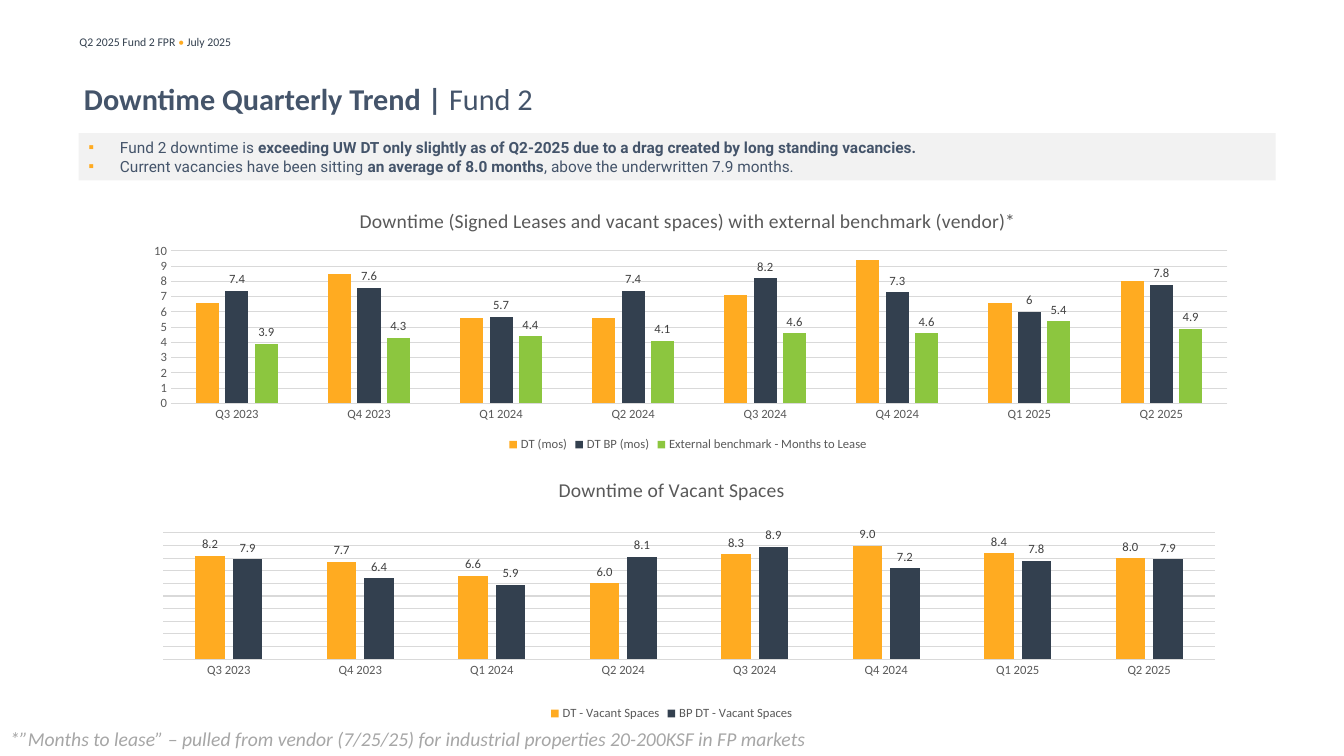
from lxml.etree import SubElement
from pptx import Presentation
from pptx.chart.data import CategoryChartData
from pptx.dml.color import RGBColor
from pptx.enum.chart import XL_CHART_TYPE, XL_LABEL_POSITION, XL_LEGEND_POSITION, XL_TICK_MARK
from pptx.enum.text import MSO_ANCHOR, MSO_AUTO_SIZE
from pptx.oxml.ns import qn
from pptx.util import Inches, Pt

HUES = {"gold": "FFAB21", "navy": "33404F", "green": "8CC63F", "slate": "44546A",
        "pale": "F2F2F2", "rule": "D9D9D9", "axis": "595959", "label": "404040",
        "note": "A6A6A6"}
COLS, ROWS = 160, 90
TERMS = [f"Q{n % 4 + 1} {2023 + n // 4}" for n in range(2, 10)]


class Deck:
    """Hold the style and the current slide, placed on a 160 by 90 grid."""

    def __init__(self):
        self.show = Presentation()
        self.show.slide_width, self.show.slide_height = Inches(13.33), Inches(7.5)
        self.slide = self.show.slides.add_slide(self.show.slide_layouts[1])

    def hue(self, name):
        return RGBColor.from_string(HUES[name])

    def box(self, x, y, w, h):
        wide, high = self.show.slide_width / COLS, self.show.slide_height / ROWS
        return [round(v) for v in (x * wide, y * high, w * wide, h * high)]

    def place(self, shape, *cell):
        shape.left, shape.top, shape.width, shape.height = self.box(*cell)

    def style(self, font, size, hue, face="Calibri"):
        font.name, font.size, font.color.rgb = face, Pt(size), self.hue(hue)

    def runs(self, para, parts):
        for text, bold, hue in parts:
            run = para.add_run()
            run.text = text
            if bold:
                run.font.bold = True
            if hue:
                run.font.color.rgb = self.hue(hue)

    def text(self, parts, size, hue, *cell, slant=False):
        frame = self.slide.shapes.add_textbox(*self.box(*cell)).text_frame
        frame.word_wrap = True
        para = frame.paragraphs[0]
        self.style(para.font, size, hue)
        para.font.italic = slant
        self.runs(para, parts)

    def title(self, parts, *cell):
        shape = self.slide.shapes.title
        self.place(shape, *cell)
        frame = shape.text_frame
        frame.margin_left = frame.margin_right = frame.margin_top = frame.margin_bottom = 0
        frame.vertical_anchor, frame.auto_size = MSO_ANCHOR.MIDDLE, MSO_AUTO_SIZE.NONE
        para = frame.paragraphs[0]
        para._p.get_or_add_pPr().set("algn", "l")
        self.style(para.font, 21.6, "slate")
        self.runs(para, parts)

    def points(self, items, *cell):
        shape = self.slide.placeholders[1]
        self.place(shape, *cell)
        shape.fill.solid()
        shape.fill.fore_color.rgb = self.hue("pale")
        frame = shape.text_frame
        frame.vertical_anchor, frame.auto_size = MSO_ANCHOR.MIDDLE, MSO_AUTO_SIZE.NONE
        for n, parts in enumerate(items):
            para = frame.add_paragraph() if n else frame.paragraphs[0]
            para.space_before = Pt(0)
            props = para._p.get_or_add_pPr()
            props.set("marL", str(Inches(0.31)))
            props.set("indent", str(-Inches(0.31)))
            tint = SubElement(props, qn("a:buClr"))
            SubElement(tint, qn("a:srgbClr"), val=HUES["gold"])
            SubElement(props, qn("a:buFont"), typeface="Calibri")
            SubElement(props, qn("a:buChar"), char="▪")
            self.style(para.font, 11, "slate", "Roboto")
            self.runs(para, parts)

    def frame(self, chart, x, y, w, h):
        area = chart._chartSpace.chart.plotArea
        for old in area.findall(qn("c:layout")):
            area.remove(old)
        outer = SubElement(area, qn("c:layout"))
        area.insert(0, outer)
        inner = SubElement(outer, qn("c:manualLayout"))
        pairs = dict(layoutTarget="inner", xMode="edge", yMode="edge", x=x, y=y, w=w, h=h)
        for key, val in pairs.items():
            SubElement(inner, qn(f"c:{key}"), val=str(val))

    def chart(self, title, rows, form, plot, *cell, scale=True):
        data = CategoryChartData(number_format=form)
        data.categories = TERMS
        for name, _, _, vals in rows:
            data.add_series(name, vals)
        chart = self.slide.shapes.add_chart(
            XL_CHART_TYPE.COLUMN_CLUSTERED, *self.box(*cell), data).chart
        chart.font.name, chart.font.size = "Calibri", Pt(10)
        chart.has_title = True
        para = chart.chart_title.text_frame.paragraphs[0]
        para.text = title
        self.style(para.font, 14, "axis")
        para.font.bold = False
        chart.has_legend = True
        chart.legend.position = XL_LEGEND_POSITION.BOTTOM
        chart.legend.include_in_layout = False
        self.style(chart.legend.font, 9, "axis")
        self.axes(chart, form, scale)
        bars = chart.plots[0]
        bars.gap_width, bars.overlap, bars.vary_by_categories = 219, -27, False
        for bar, (_, hue, shown, _) in zip(bars.series, rows):
            bar.format.fill.solid()
            bar.format.fill.fore_color.rgb = self.hue(hue)
            if shown:
                tags = bar.data_labels
                tags.show_value = True
                tags.position = XL_LABEL_POSITION.OUTSIDE_END
                tags.number_format, tags.number_format_is_linked = form, False
                self.style(tags.font, 9, "label")
        self.frame(chart, *plot)

    def axes(self, chart, form, scale):
        base, side = chart.category_axis, chart.value_axis
        for axis in (base, side):
            axis.major_tick_mark = axis.minor_tick_mark = XL_TICK_MARK.NONE
            self.style(axis.tick_labels.font, 9, "axis")
        side.has_major_gridlines = True
        for line in (base.format.line, side.major_gridlines.format.line):
            line.color.rgb, line.width = self.hue("rule"), Pt(0.75)
        side.format.line.fill.background()
        side.minimum_scale, side.maximum_scale, side.major_unit = 0, 10, 1
        side.tick_labels.number_format = form
        side.tick_labels.number_format_is_linked = False
        side.visible = scale


def main():
    deck = Deck()
    deck.text([("Q2 2025 Fund 2 FPR ", False, None), ("• ", False, "gold"),
               ("July 2025", False, None)], 8.4, "navy", 8.28, 3.5, 54, 2.9)
    deck.title([("Downtime Quarterly Trend | ", True, None), ("Fund 2", False, None)],
               10, 7.2, 132.2, 9)
    deck.points([
        [("Fund 2 downtime is ", False, None),
         ("exceeding UW DT only slightly as of Q2-2025 due to a drag created by "
          "long standing vacancies.", True, None)],
        [("Current vacancies have been sitting ", False, None),
         ("an average of 8.0 months", True, None),
         (", above the underwritten 7.9 months.", False, None)],
    ], 9.36, 15.84, 142.5, 5.64)
    deck.chart("Downtime of Vacant Spaces", [
        ("DT - Vacant Spaces", "gold", True, (8.2, 7.7, 6.6, 6, 8.3, 9, 8.4, 8)),
        ("BP DT - Vacant Spaces", "navy", True, (7.9, 6.4, 5.9, 8.1, 8.9, 7.2, 7.8, 7.9)),
    ], "0.0", (0.06, 0.27, 0.91, 0.48), 11.16, 55, 137.6, 31.3, scale=False)
    deck.text([("*”Months to lease” – pulled from vendor (7/25/25) for industrial "
                "properties 20-200KSF in FP markets", False, None)],
              14, "note", 0, 85.9, 103, 4.1, slant=True)
    deck.chart("Downtime (Signed Leases and vacant spaces) with external benchmark (vendor)*", [
        ("DT (mos)", "gold", False, (6.6, 8.5, 5.6, 5.6, 7.1, 9.4, 6.6, 8)),
        ("DT BP (mos)", "navy", True, (7.4, 7.6, 5.7, 7.4, 8.2, 7.3, 6, 7.8)),
        ("External benchmark - Months to Lease", "green", True,
         (3.9, 4.3, 4.4, 4.1, 4.6, 4.6, 5.4, 4.9)),
    ], "General", (0.04, 0.22, 0.94, 0.58), 15, 23, 133.8, 31.3)
    deck.show.save("out.pptx")


if __name__ == "__main__":
    main()
